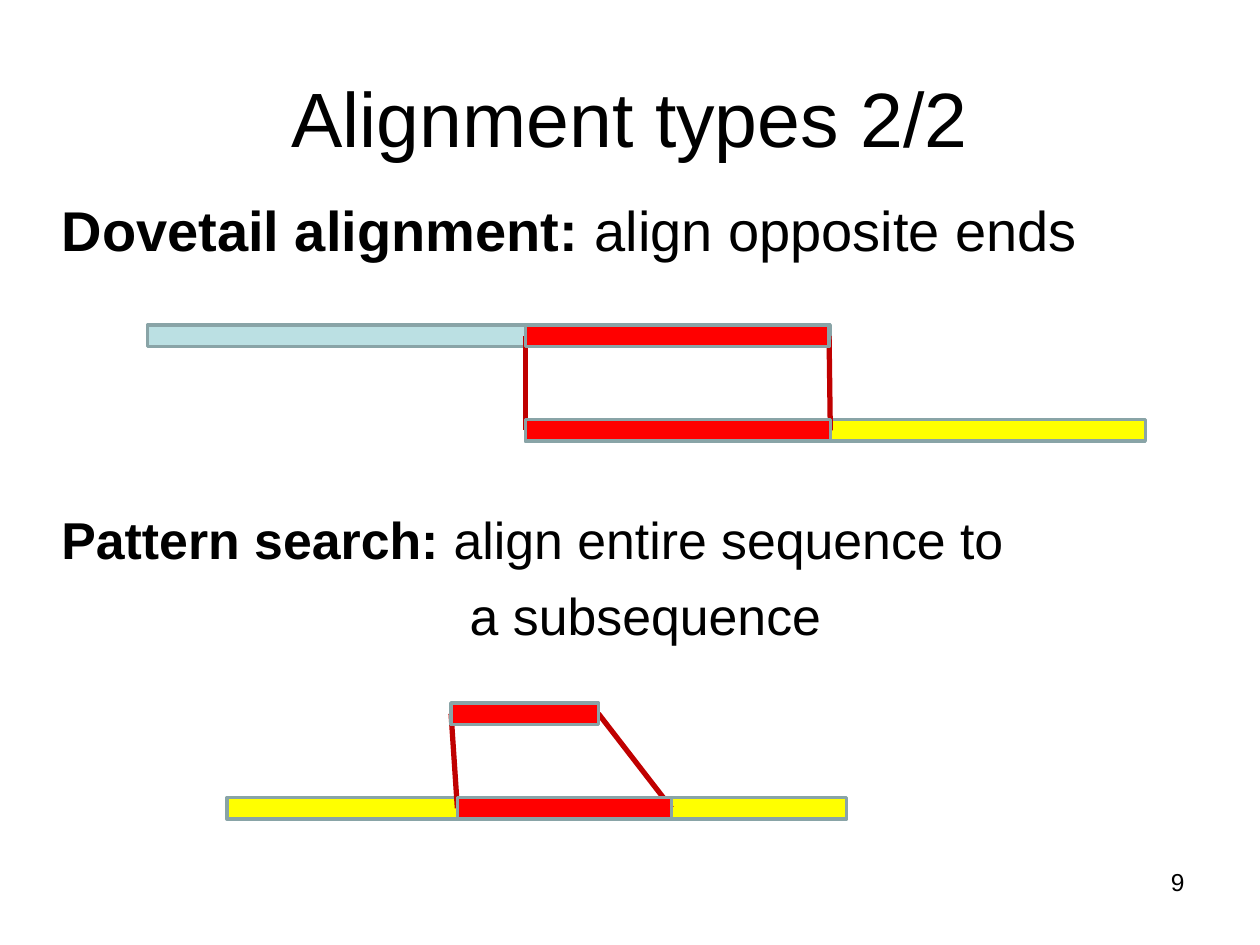
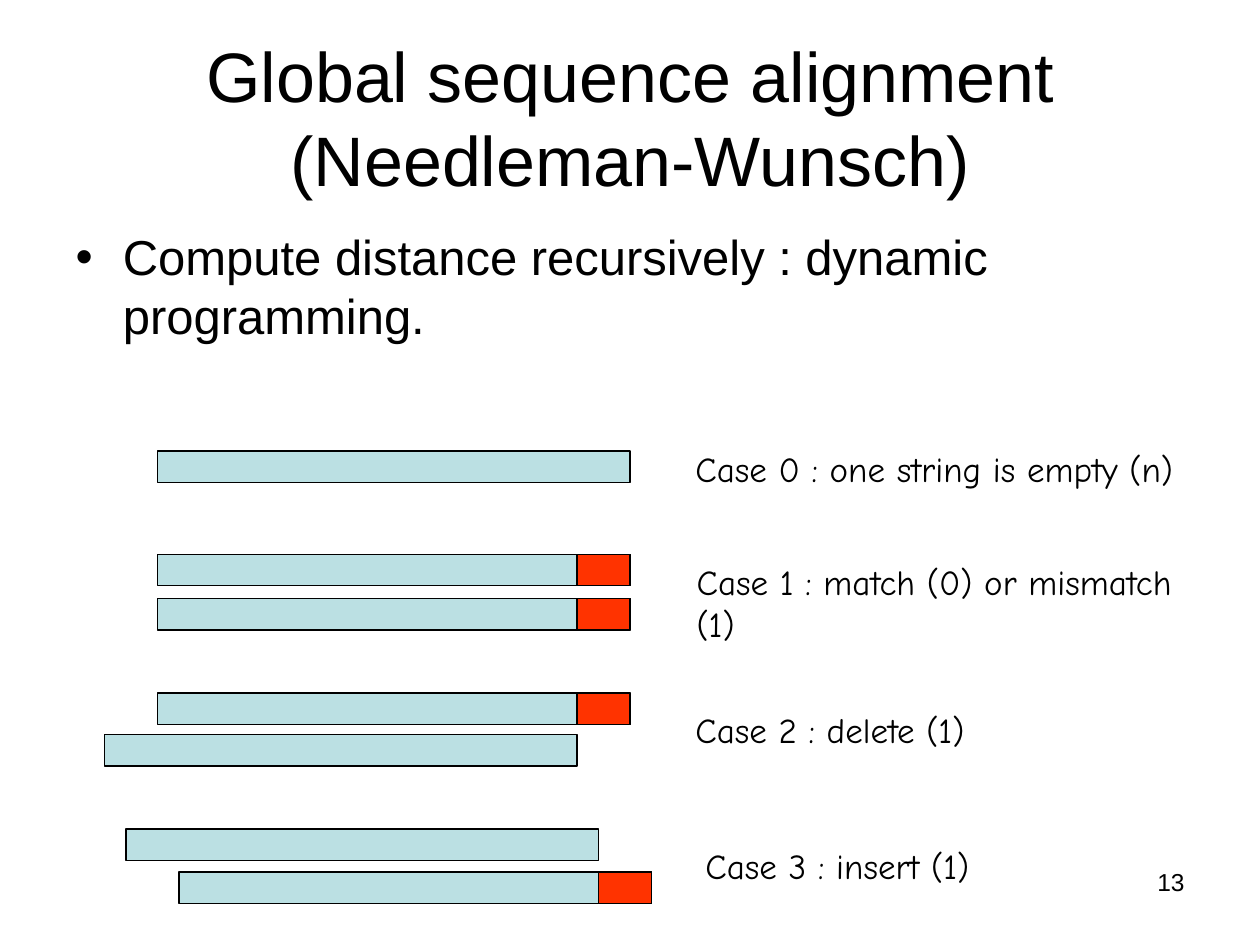
from lxml import etree
from pptx import Presentation
from pptx import util as u
from pptx.dml.color import RGBColor
from pptx.enum import shapes, text
from pptx.oxml.ns import qn

COLORS = {
    "text": "000000",
    "outline": "89A4A7",
    "link": "C00000",
    "sequence": "BBE0E3",
    "target": "FFFF00",
    "aligned": "FF0000",
    "last": "FF3300",
}
BODY_FONT, LABEL_FONT = "Arial", "Comic Neue"
TITLE_BOX = (0.5, 0.3, 9, 1.25)
NUMBER_BOX = (7.17, 6.83, 2.33, 0.52)

TYPES_TITLE = "Alignment types 2/2"
DOVETAIL = ("Dovetail alignment: ", "align opposite ends")
PATTERN = ("Pattern search: ", "align entire sequence to")
PATTERN_REST = "a subsequence"
THIN = 0.17
ALIGNMENTS = [
    {
        "flanks": [(1.8, 6.33, 4.92, "target")],
        "aligned": [(3.58, 5.58, 1.17), (3.63, 6.33, 1.7)],
    },
    {
        "flanks": [(1.17, 2.58, 5.42, "sequence"), (4.17, 3.33, 4.92, "target")],
        "aligned": [(4.17, 2.58, 2.41), (4.17, 3.33, 2.42)],
    },
]

GLOBAL_TITLE = "Global sequence alignment\v(Needleman-Wunsch)"
GLOBAL_BODY = "Compute distance recursively : dynamic programming."
BAR_WIDTH, BAR_HEIGHT, LAST_WIDTH = 3.75, 0.25, 0.42
CASES = [
    ("Case 0 : one string is empty (n)", (5.42, 3.5, 4.43, 0.44),
     [(1.25, 3.58, False)]),
    ("Case 1 : match (0) or mismatch (1)", (5.43, 4.4, 4.1, 0.77),
     [(1.25, 4.4, True), (1.25, 4.75, True)]),
    ("Case 2 : delete (1)", (5.42, 5.57, 4.1, 0.44),
     [(1.25, 5.5, True), (0.83, 5.83, False)]),
    ("Case 3 : insert (1)", (5.5, 6.65, 4.1, 0.44),
     [(1, 6.58, False), (1.42, 6.92, True)]),
]


def color(name):
    return RGBColor.from_string(COLORS[name])


def inches(box):
    return [u.Inches(length) for length in box]


def place(shape, box):
    shape.left, shape.top, shape.width, shape.height = inches(box)


def format_runs(paragraph, size, font=BODY_FONT):
    for run in paragraph.runs:
        run.font.size = u.Pt(size)
        run.font.name = font
        run.font.color.rgb = color("text")


def add_label(slide, box, label, size, font=BODY_FONT, align=text.PP_ALIGN.LEFT):
    shape = slide.shapes.add_textbox(*inches(box))
    shape.text_frame.word_wrap = True
    shape.text_frame.text = label
    paragraph = shape.text_frame.paragraphs[0]
    paragraph.alignment = align
    format_runs(paragraph, size, font)
    return shape


def add_slide(presentation, title, title_size, number, body_box):
    slide = presentation.slides.add_slide(presentation.slide_layouts[1])
    heading, body = slide.shapes.title, slide.placeholders[1]
    place(heading, TITLE_BOX)
    place(body, body_box)
    heading.text_frame.text = title
    heading.text_frame.vertical_anchor = text.MSO_ANCHOR.MIDDLE
    for shape in (heading, body):
        shape.text_frame.auto_size = text.MSO_AUTO_SIZE.NONE
    paragraph = heading.text_frame.paragraphs[0]
    paragraph.alignment = text.PP_ALIGN.CENTER
    format_runs(paragraph, title_size)
    add_label(slide, NUMBER_BOX, number, 14, align=text.PP_ALIGN.RIGHT)
    return slide, body.text_frame


def add_bar(slide, box, fill, outline, weight):
    bar = slide.shapes.add_shape(shapes.MSO_SHAPE.RECTANGLE, *inches(box))
    bar.shadow.inherit = False
    bar.fill.solid()
    bar.fill.fore_color.rgb = color(fill)
    bar.line.color.rgb = color(outline)
    bar.line.width = u.Pt(weight)
    return bar


def indent_plain(paragraph, left):
    properties = paragraph._p.get_or_add_pPr()
    properties.set("marL", str(u.Inches(left)))
    properties.set("indent", "0")
    etree.SubElement(properties, qn("a:buNone"))


def write_definition(paragraph, definition, size):
    indent_plain(paragraph, 0.06)
    paragraph.space_before = u.Pt(0)
    for part in definition:
        paragraph.add_run().text = part
    format_runs(paragraph, size)
    paragraph.runs[0].font.bold = True


def link_bars(slide, upper, lower, side):
    link = slide.shapes.add_connector(shapes.MSO_CONNECTOR.STRAIGHT, 0, 0, 0, 0)
    link.begin_connect(upper, side)
    link.end_connect(lower, side)
    link.line.color.rgb = color("link")
    link.line.width = u.Pt(3)
    etree.SubElement(link._element.spPr, qn("a:effectLst"))
    upper._element.addprevious(link._element)


def build_types(presentation):
    slide, body = add_slide(presentation, TYPES_TITLE, 44, "9", (0.33, 1.5, 8.33, 0.67))
    write_definition(body.paragraphs[0], DOVETAIL, 32)
    frame = add_label(slide, (0.33, 3.98, 8.33, 1.27), "", 29.6).text_frame
    write_definition(frame.paragraphs[0], PATTERN, 29.6)
    rest = frame.add_paragraph()
    rest.text = PATTERN_REST
    indent_plain(rest, 3.3)
    rest.space_before = u.Pt(8)
    format_runs(rest, 29.6)

    for alignment in ALIGNMENTS:
        for left, top, width, fill in alignment["flanks"]:
            add_bar(slide, (left, top, width, THIN), fill, "outline", 2)
        upper, lower = [
            add_bar(slide, (*place_and_width, THIN), "aligned", "outline", 2)
            for place_and_width in alignment["aligned"]
        ]
        for side in (1, 3):
            link_bars(slide, upper, lower, side)
        lower._element.addnext(upper._element)


def build_global(presentation):
    slide, body = add_slide(presentation, GLOBAL_TITLE, 40, "13", (0.5, 1.75, 9, 1.28))
    body.text = GLOBAL_BODY
    body.paragraphs[0].space_before = u.Pt(0)
    format_runs(body.paragraphs[0], 28)
    for label, label_box, bars in CASES:
        for left, top, has_last in bars:
            add_bar(slide, (left, top, BAR_WIDTH, BAR_HEIGHT), "sequence", "text", 0.75)
            if has_last:
                last_left = left + BAR_WIDTH - LAST_WIDTH
                add_bar(slide, (last_left, top, LAST_WIDTH, BAR_HEIGHT), "last", "text", 0.75)
        add_label(slide, label_box, label, 20, LABEL_FONT)


def main():
    presentation = Presentation()
    presentation.slide_width, presentation.slide_height = inches((10, 7.5))
    build_types(presentation)
    build_global(presentation)
    presentation.save("out.pptx")


if __name__ == "__main__":
    main()
